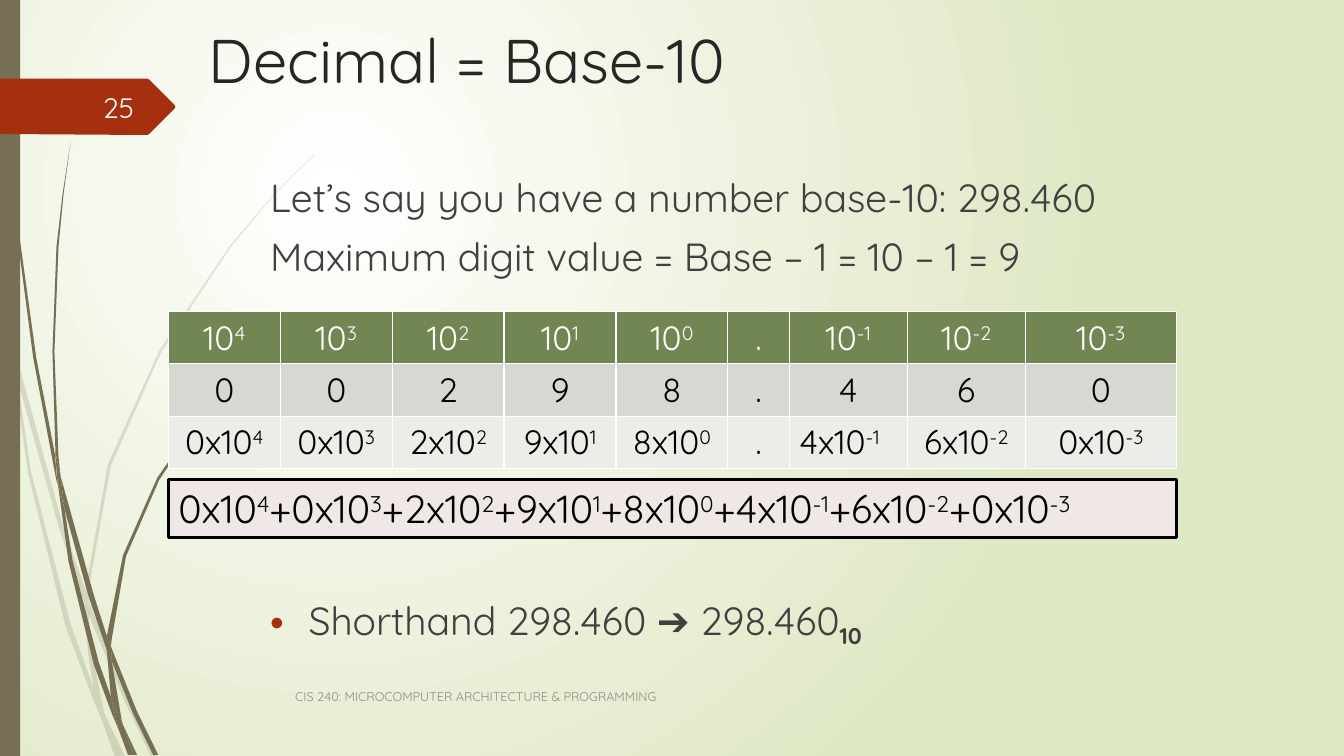
from pptx import Presentation
from pptx import util as u
from pptx.dml.color import RGBColor
from pptx.enum import shapes, text
from pptx.oxml import parse_xml
from pptx.oxml.ns import nsdecls, qn

PX = 9144
FONT = "Quicksand"
WHITE = RGBColor(0xFF, 0xFF, 0xFF)
BLACK = RGBColor(0, 0, 0)
PALE_GREEN = RGBColor(0xDF, 0xE8, 0xC4)
OLIVE = RGBColor(0x76, 0x6F, 0x54)
RUST = RGBColor(0xA5, 0x30, 0x10)
INK = RGBColor(0x26, 0x26, 0x26)
BODY_GREY = RGBColor(0x40, 0x40, 0x40)
FOOTER_GREY = RGBColor(0x8C, 0x8C, 0x8C)
NUMBER_WHITE = RGBColor(0xFE, 0xFF, 0xFF)
BOX_PINK = RGBColor(0xF0, 0xE8, 0xE7)
ROW_FILLS = [RGBColor(0x72, 0x86, 0x53), RGBColor(0xD5, 0xD9, 0xD1), RGBColor(0xEB, 0xED, 0xE9)]
ROW_INKS = [WHITE, BLACK, BLACK]


def add_run(paragraph, words, size, color, baseline=0, bold=False):
    run = paragraph.add_run()
    run.text = words
    run.font.name = FONT
    run.font.size = u.Pt(size)
    run.font.bold = bold
    run.font.color.rgb = color
    if baseline:
        run._r.get_or_add_rPr().set("baseline", str(baseline * 1000))


def add_outline(points, color, alpha=100):
    builder = slide.shapes.build_freeform(*points[0], scale=PX)
    builder.add_line_segments(points[1:], close=True)
    outline = builder.convert_to_shape()
    outline.shadow.inherit = False
    outline.fill.solid()
    outline.fill.fore_color.rgb = color
    outline.line.fill.background()
    if alpha < 100:
        srgb = outline.element.spPr.find(".//" + qn("a:srgbClr"))
        srgb.append(parse_xml(f'<a:alpha {nsdecls("a")} val="{alpha * 1000}"/>'))


deck = Presentation()
deck.slide_width, deck.slide_height = 1333 * PX, 750 * PX
slide = deck.slides.add_slide(deck.slide_layouts[1])

backdrop = slide.background.fill
backdrop.gradient()
for stop, color in zip(backdrop.gradient_stops, (WHITE, PALE_GREEN)):
    stop.color.rgb = color
direction = slide.element.find(".//" + qn("a:lin"))
direction.getparent().replace(direction, parse_xml(
    f'<a:path {nsdecls("a")} path="circle">'
    '<a:fillToRect l="50000" t="50000" r="100000" b="100000"/></a:path>'))

pale_blades = [
    [(11, 350), (9, 322), (0, 282), (0, 299), (10, 344)],
    [(58, 522), (84, 599), (85, 586), (62, 520), (14, 345), (17, 376)],
    [(92, 607), (88, 596), (88, 610), (123, 694), (150, 751), (155, 751), (127, 692)],
    [(119, 751), (124, 751), (105, 711)],
    [(93, 683), (70, 619), (31, 469), (17, 376), (11, 350), (28, 470), (65, 621), (92, 693),
     (101, 714), (99, 707)],
    [(84, 599), (87, 646), (93, 683), (96, 692), (105, 711), (103, 706), (91, 646), (88, 610),
     (88, 608)],
    [(88, 584), (110, 462), (160, 349), (229, 245), (268, 198), (290, 175), (312, 154),
     (312, 153), (289, 175), (268, 197), (228, 244), (158, 348), (107, 461), (85, 584),
     (85, 586), (88, 596)],
    [(101, 714), (114, 751), (119, 751)],
    [(88, 608), (88, 610), (88, 596), (85, 586), (84, 599)],
    [(96, 692), (93, 683), (99, 707), (101, 714), (119, 751), (105, 711)],
]
dark_blades = [
    [(7, 110), (17, 233), (33, 355), (56, 477), (57, 481), (55, 457), (55, 453), (36, 355),
     (19, 232), (8, 109), (5, 48), (4, 0), (3, 0), (4, 48)],
    [(88, 592), (106, 645), (106, 633), (106, 631), (93, 590), (60, 472), (64, 505)],
    [(113, 649), (110, 641), (111, 656), (132, 708), (152, 749), (157, 749), (136, 706)],
    [(110, 691), (98, 657), (72, 556), (64, 505), (57, 477), (68, 557), (93, 659), (111, 708),
     (117, 722), (116, 717)],
    [(60, 472), (58, 453), (54, 349), (58, 245), (63, 193), (70, 141), (62, 193), (56, 245),
     (52, 349), (55, 449)],
    [(133, 749), (136, 749), (122, 719)],
    [(57, 477), (64, 505), (60, 472), (55, 449), (55, 453)],
    [(111, 633), (125, 552), (158, 476), (205, 406), (231, 374), (245, 359), (261, 344),
     (260, 344), (245, 358), (231, 373), (204, 405), (156, 474), (122, 551), (106, 631),
     (110, 641)],
    [(117, 722), (127, 749), (131, 749)],
    [(106, 645), (110, 691), (116, 706), (122, 719), (121, 716), (111, 656), (109, 651)],
    [(106, 645), (109, 651), (111, 656), (110, 641), (106, 631), (106, 633)],
    [(116, 706), (110, 691), (116, 717), (117, 722), (130, 749), (133, 749), (122, 719)],
]
for blades, alpha in ((pale_blades, 20), (dark_blades, 100)):
    for blade in blades:
        add_outline(blade, OLIVE, alpha)

side_bar = slide.shapes.add_shape(shapes.MSO_SHAPE.RECTANGLE, 0, 0, 20 * PX, 750 * PX)
side_bar.shadow.inherit = False
side_bar.fill.solid()
side_bar.fill.fore_color.rgb = OLIVE
side_bar.line.fill.background()

add_outline([(0, 78), (146, 78), (148, 79), (173, 104), (174, 106), (173, 108), (148, 133),
             (146, 134), (0, 133)], RUST)

heading, lesson = slide.placeholders
for holder, (left, top, width, height) in ((heading, (197, 17, 1095, 140)),
                                           (lesson, (258, 167, 908, 499))):
    slide.shapes._spTree.append(holder.element)
    holder.left, holder.top = left * PX, top * PX
    holder.width, holder.height = width * PX, height * PX
    holder.text_frame.vertical_anchor = text.MSO_ANCHOR.TOP
    holder.text_frame.auto_size = text.MSO_AUTO_SIZE.NONE

heading_line = heading.text_frame.paragraphs[0]
heading_line.alignment = text.PP_ALIGN.LEFT
add_run(heading_line, "Decimal = Base-10", 44, INK)

lesson_lines = [
    ("Let’s say you have a number base-10: 298.460", 0, False),
    ("Maximum digit value = Base – 1 = 10 – 1 = 9", 8.5, False),
    ("Shorthand 298.460 ➔ 298.460", 226, True),
]
for index, (words, gap, bulleted) in enumerate(lesson_lines):
    line = lesson.text_frame.paragraphs[0] if index == 0 else lesson.text_frame.add_paragraph()
    line.space_before = u.Pt(gap)
    props = line._p.get_or_add_pPr()
    props.set("marL", str(38 * PX))
    props.set("indent", str(-38 * PX))
    if bulleted:
        props.append(parse_xml(f'<a:buClr {nsdecls("a")}><a:srgbClr val="{RUST}"/></a:buClr>'))
        props.append(parse_xml(f'<a:buChar {nsdecls("a")} char="•"/>'))
    else:
        props.append(parse_xml(f'<a:buNone {nsdecls("a")}/>'))
    add_run(line, words, 28, BODY_GREY)
add_run(line, "10", 28, BODY_GREY, -25, True)

labels = [
    ((58, 86, 85, 40), "25", 20, NUMBER_WHITE, text.PP_ALIGN.RIGHT),
    ((283, 671, 833, 40), "CIS 240: MICROCOMPUTER ARCHITECTURE & PROGRAMMING", 9, FOOTER_GREY,
     text.PP_ALIGN.LEFT),
]
for place, words, size, color, align in labels:
    label = slide.shapes.add_textbox(*(n * PX for n in place)).text_frame
    label.word_wrap = True
    label.vertical_anchor = text.MSO_ANCHOR.MIDDLE
    label.paragraphs[0].alignment = align
    add_run(label.paragraphs[0], words, size, color)

digits = [("0", "4"), ("0", "3"), ("2", "2"), ("9", "1"), ("8", "0"), (".", ""),
          ("4", "-1"), ("6", "-2"), ("0", "-3")]
column_widths = [111] * 5 + [61, 117, 117, 150]
place_values = slide.shapes.add_table(3, 9, 167 * PX, 309 * PX, 1000 * PX, 156 * PX).table
for row in place_values.rows:
    row.height = 52 * PX
for col, ((digit, power), width) in enumerate(zip(digits, column_widths)):
    place_values.columns[col].width = width * PX
    entries = [("10", power), (digit, ""), (f"{digit}x10", power)]
    for row, (words, exponent) in enumerate(entries):
        cell = place_values.cell(row, col)
        cell.fill.solid()
        cell.fill.fore_color.rgb = ROW_FILLS[row]
        entry = cell.text_frame.paragraphs[0]
        left_aligned = (row, power) == (2, "-1")
        entry.alignment = text.PP_ALIGN.LEFT if left_aligned else text.PP_ALIGN.CENTER
        add_run(entry, words if power else ".", 24, ROW_INKS[row])
        if exponent:
            add_run(entry, exponent, 24, ROW_INKS[row], 30)

expansion = slide.shapes.add_shape(
    shapes.MSO_SHAPE.RECTANGLE, 167 * PX, 476 * PX, 1000 * PX, 57 * PX)
expansion.shadow.inherit = False
expansion.fill.solid()
expansion.fill.fore_color.rgb = BOX_PINK
expansion.line.color.rgb = BLACK
expansion.line.width = u.Pt(2)
expansion.text_frame.vertical_anchor = text.MSO_ANCHOR.TOP
total = expansion.text_frame.paragraphs[0]
total.alignment = text.PP_ALIGN.LEFT
sign = ""
for digit, power in digits:
    if power:
        add_run(total, f"{sign}{digit}x10", 28, BLACK)
        add_run(total, power, 28, BLACK, 30)
        sign = "+"

deck.save("out.pptx")
